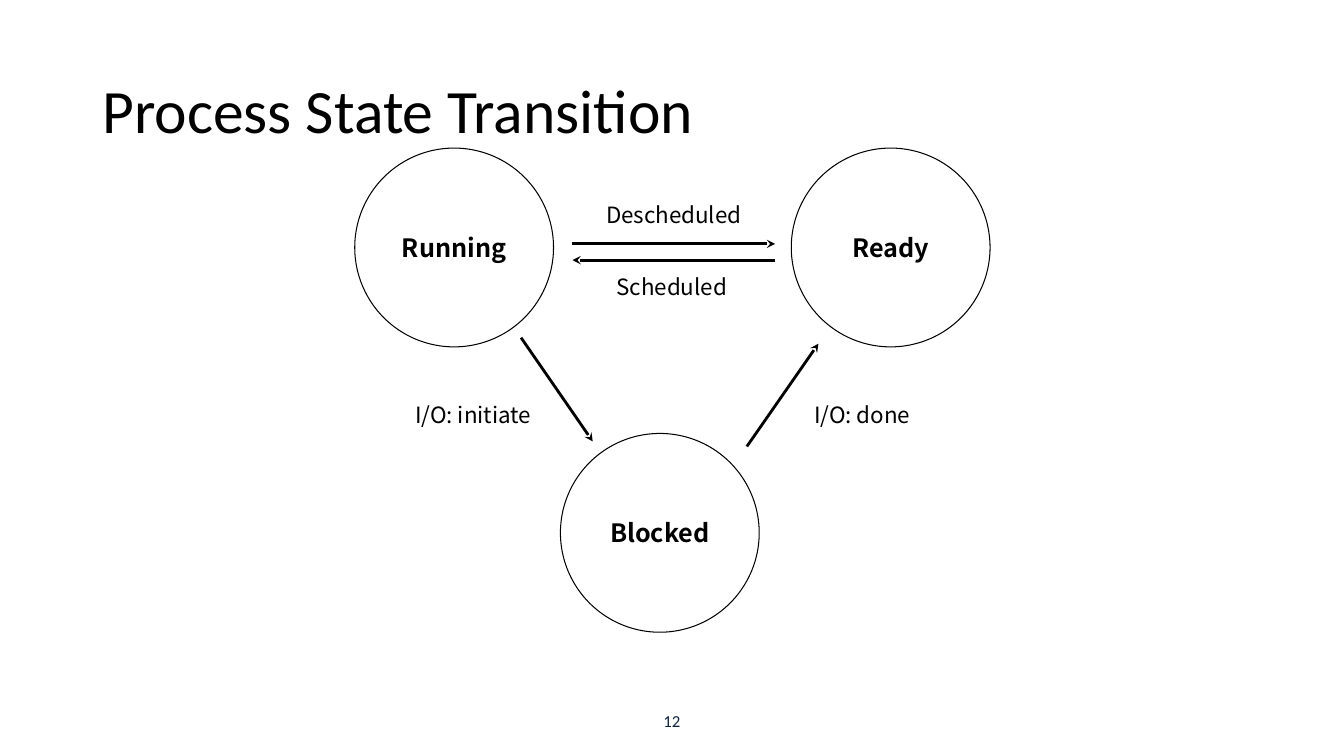
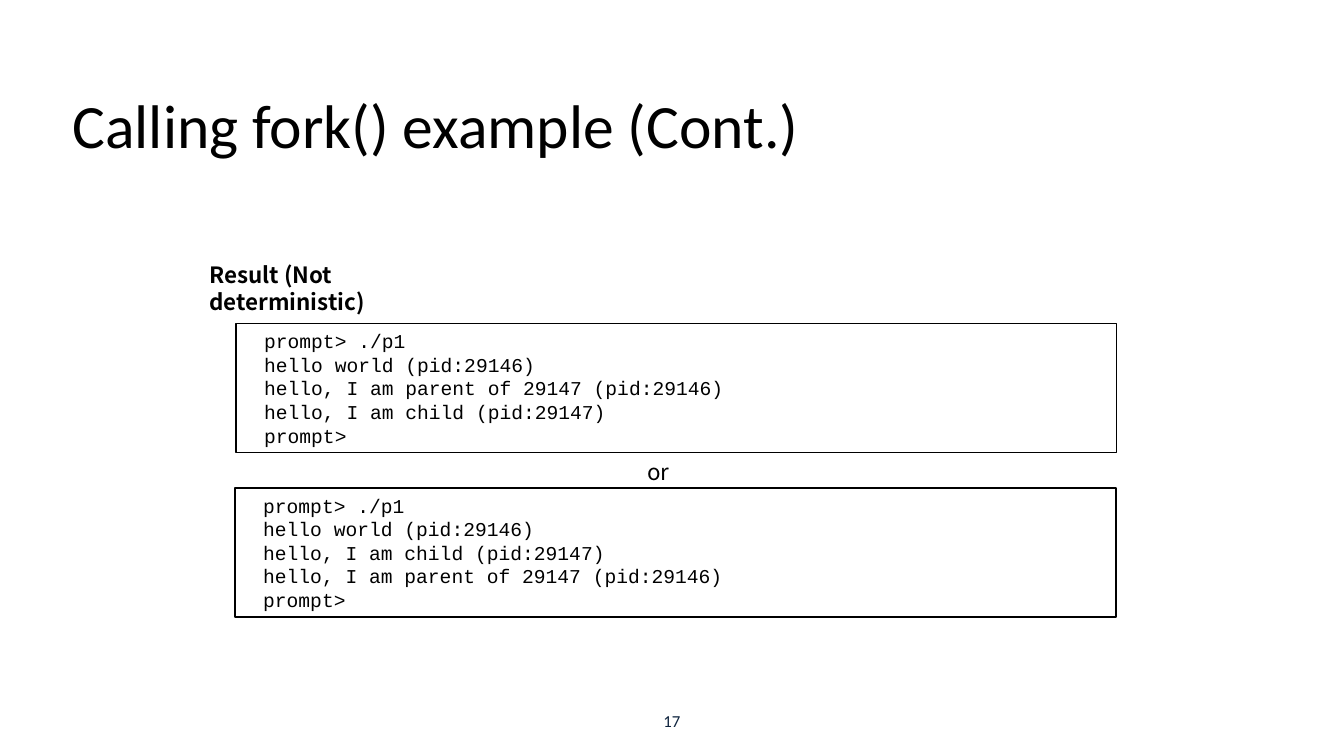
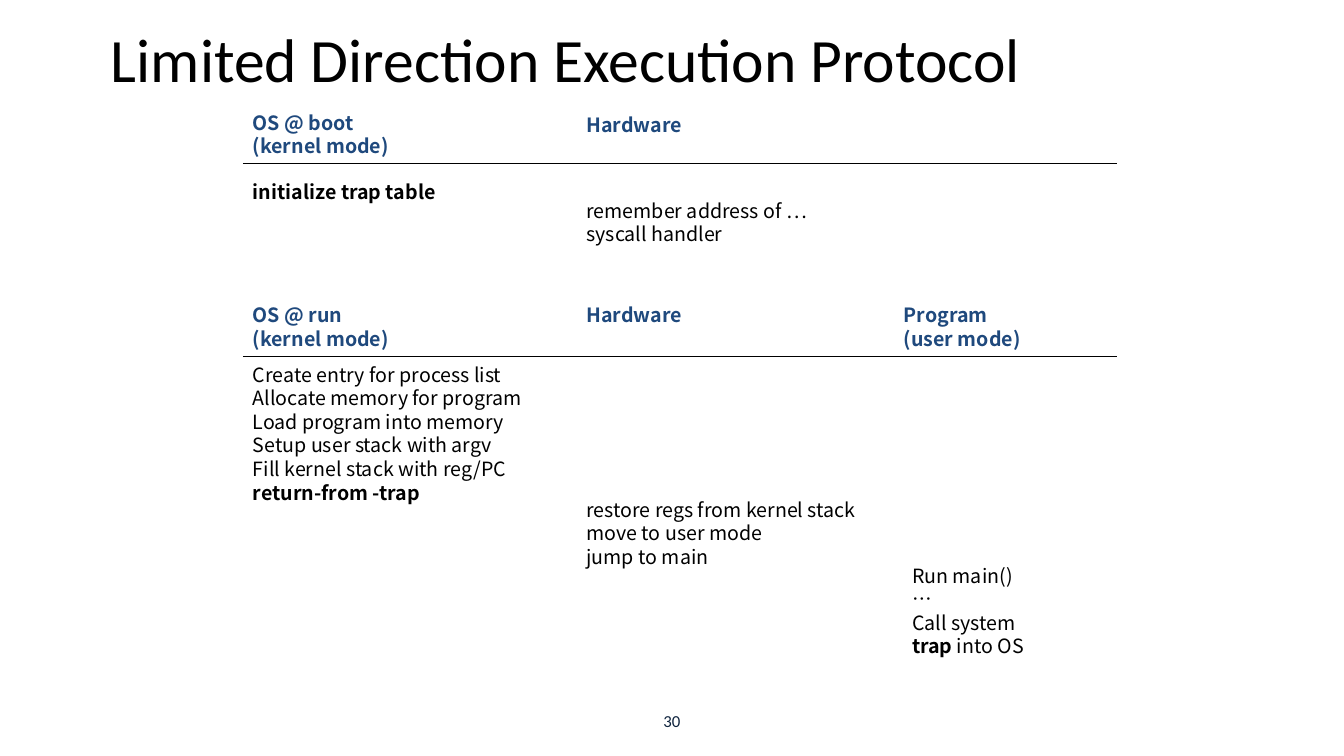
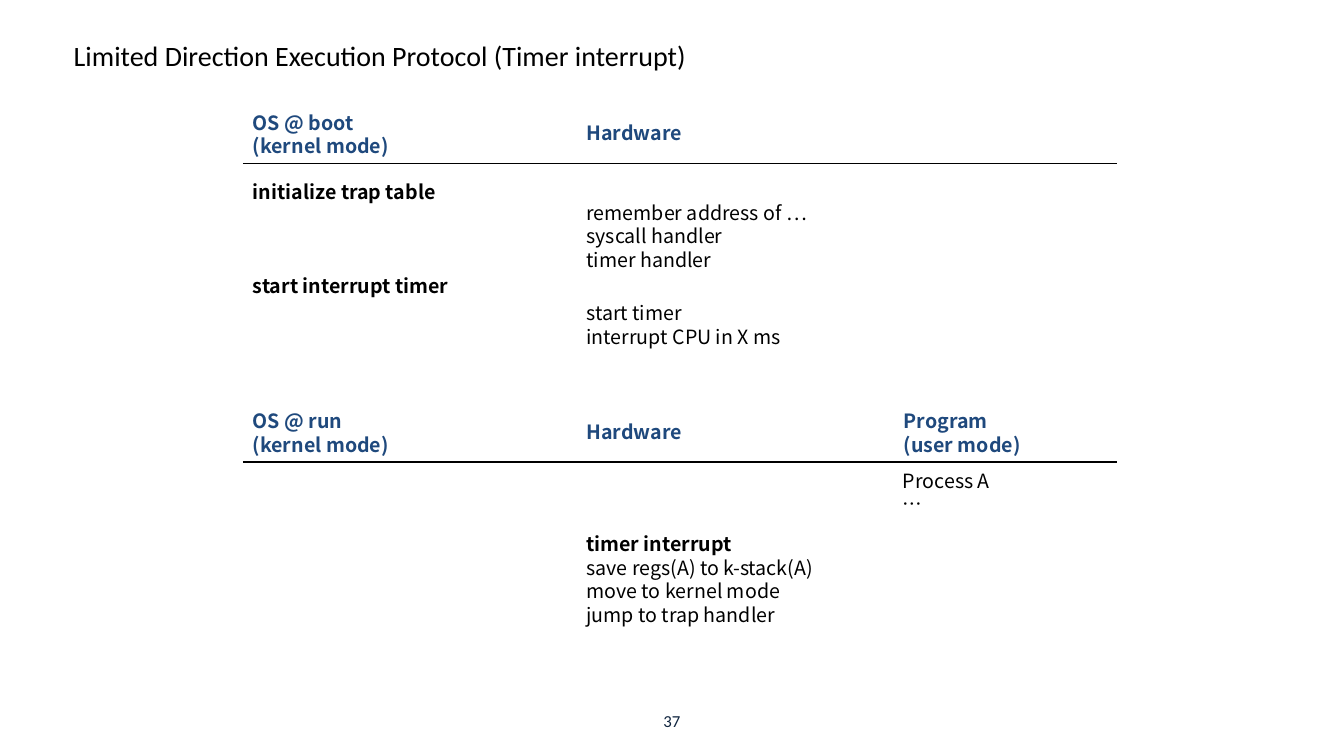
from dataclasses import dataclass

from lxml.etree import SubElement
from pptx import Presentation
from pptx.dml.color import RGBColor
from pptx.enum.shapes import MSO_CONNECTOR as Connector, MSO_SHAPE as Shape
from pptx.enum.text import MSO_ANCHOR as Anchor, MSO_AUTO_SIZE as AutoSize, PP_ALIGN as Align
from pptx.oxml.ns import qn
from pptx.util import Pt

BLACK = RGBColor(0x00, 0x00, 0x00)
WHITE = RGBColor(0xFF, 0xFF, 0xFF)
BLUE = RGBColor(0x1F, 0x49, 0x7D)
NAVY = RGBColor(0x0F, 0x24, 0x3E)

TITLE_FONT = "Calibri"
BODY_FONT = "Noto Sans CJK KR"
CODE_FONT = "Courier New"

LINE_FACTOR = 1.2
COLUMNS = {"os": 0, "hardware": 238.3, "program": 465.1}


@dataclass
class Box:
    """A rectangle in points."""
    left: float
    top: float
    width: float
    height: float

    def inner(self, left, top, width, height):
        """Return a box placed relative to this one."""
        return Box(self.left + left, self.top + top, width, height)

    def lengths(self):
        """Return left, top, width and height as lengths."""
        return [Pt(value) for value in (self.left, self.top, self.width, self.height)]


def style_span(span, size, color, font, bold=False):
    """Format one run, for Latin and East Asian characters alike."""
    span.font.size = Pt(size)
    span.font.bold = bold
    span.font.color.rgb = color
    span.font.name = font
    SubElement(span._r.get_or_add_rPr(), qn("a:ea"), typeface=font)


def fill_text(frame, lines, size, color=BLACK, font=BODY_FONT, align=Align.LEFT):
    """Write lines into a frame; pieces between asterisks are bold."""
    frame.word_wrap = True
    for index, line in enumerate(lines):
        para = frame.paragraphs[0] if index == 0 else frame.add_paragraph()
        para.alignment = align
        para.line_spacing = Pt(LINE_FACTOR * size)
        for number, piece in enumerate(line.split("*")):
            if piece:
                span = para.add_run()
                span.text = piece
                style_span(span, size, color, font, bold=number % 2 == 1)


def add_text(page, box, lines, size, **style):
    """Add a text box and return its frame."""
    frame = page.shapes.add_textbox(*box.lengths()).text_frame
    fill_text(frame, lines, size, **style)
    return frame


def add_outlined(page, kind, box, line_width):
    """Add a white shape with a black outline and return its frame."""
    shape = page.shapes.add_shape(kind, *box.lengths())
    shape.shadow.inherit = False
    shape.fill.solid()
    shape.fill.fore_color.rgb = WHITE
    shape.line.color.rgb = BLACK
    shape.line.width = Pt(line_width)
    shape.text_frame.vertical_anchor = Anchor.MIDDLE
    return shape.text_frame


def add_line(page, box, start, end, width, arrow=False):
    """Draw a straight line between two points of a box."""
    points = [Pt(value) for x, y in (start, end) for value in (box.left + x, box.top + y)]
    line = page.shapes.add_connector(Connector.STRAIGHT, *points)
    line.line.color.rgb = BLACK
    line.line.width = Pt(width)
    if arrow:
        SubElement(line.line._get_or_add_ln(), qn("a:tailEnd"), type="stealth")
    SubElement(line._element.spPr, qn("a:effectLst"))


def add_page(deck, title, left, top, number, size=44):
    """Add a slide with its title and page number."""
    page = deck.slides.add_slide(deck.slide_layouts[5])
    holder = page.shapes.title
    holder.left, holder.top, holder.width, holder.height = Box(left, top, 828, 104.4).lengths()
    frame = holder.text_frame
    frame.text = title
    frame.word_wrap = True
    frame.auto_size = AutoSize.NONE
    frame.vertical_anchor = Anchor.MIDDLE
    para = frame.paragraphs[0]
    para.alignment = Align.LEFT
    para.line_spacing = 0.9
    style_span(para.runs[0], size, BLACK, TITLE_FONT)
    footer = add_text(page, Box(318, 500.4, 324, 28.8), [number], 12,
                      color=NAVY, font=TITLE_FONT, align=Align.CENTER)
    footer.vertical_anchor = Anchor.MIDDLE
    return page


def draw_states(page, box):
    """Draw the three process states and the transitions between them."""
    diameter = 142
    states = [("Running", 0, 0),
              ("Ready", box.width - diameter, 0),
              ("Blocked", 146.9, box.height - diameter)]
    for name, left, top in states:
        frame = add_outlined(page, Shape.OVAL, box.inner(left, top, diameter, diameter), 0.75)
        frame.margin_left = frame.margin_right = 0
        fill_text(frame, [f"*{name}*"], 18, align=Align.CENTER)
    transitions = [("Descheduled", (171.4, 34.6), (155.5, 68.4), (300.3, 68.4)),
                   ("Scheduled", (170, 85.7), (300.3, 80), (155.5, 80)),
                   ("I/O: initiate", (28.1, 177.2), (118.8, 135.4), (170, 209.5)),
                   ("I/O: done", (306, 177.2), (280.1, 213.1), (331.2, 139.7))]
    for name, corner, start, end in transitions:
        add_line(page, box, start, end, 2, arrow=True)
        add_text(page, box.inner(*corner, 113, 26.6), [name], 16, align=Align.CENTER)


def draw_terminal(page, box, lines):
    """Draw one framed program output."""
    frame = add_outlined(page, Shape.RECTANGLE, box, 1)
    frame.margin_left = Pt(20.2)
    fill_text(frame, lines, 14, font=CODE_FONT)


def draw_outputs(page, box):
    """Draw the two possible outputs under their heading."""
    parent = "hello, I am parent of 29147 (pid:29146)"
    child = "hello, I am child (pid:29147)"
    add_text(page, box.inner(0, 0, 208.8, 26.6), ["*Result (Not deterministic)*"], 16)
    for left, top, replies in [(25.9, 48.2, (parent, child)), (25.2, 165.6, (child, parent))]:
        draw_terminal(page, box.inner(left, top, 629.3, 92.2),
                      ["prompt> ./p1", "hello world (pid:29146)", *replies, "prompt>"])
    add_text(page, box.inner(268.5, 141.1, 118, 26.6), ["or"], 16, align=Align.CENTER)


def draw_phase(page, box, headings, hardware_drop, notes):
    """Draw one protocol phase: headings, a rule and the steps by column."""
    for column, lines in headings.items():
        drop = hardware_drop if column == "hardware" else 0
        add_text(page, box.inner(COLUMNS[column], drop, 136, 41),
                 [f"*{line}*" for line in lines], 14, color=BLUE)
    add_line(page, box, (0, 41.4), (box.width, 41.4), 1)
    for column, shift, drop, lines in notes:
        height = LINE_FACTOR * 14 * len(lines) + 7.2
        add_text(page, box.inner(COLUMNS[column] + shift, drop, 215, height), lines, 14)


def draw_protocol(page, boot, run):
    """Draw the boot phase and the run phase, each as top, height, drop and notes."""
    boot_headings = {"os": ["OS @ boot", "(kernel mode)"], "hardware": ["Hardware"]}
    run_headings = {"os": ["OS @ run", "(kernel mode)"], "hardware": ["Hardware"],
                    "program": ["Program", "(user mode)"]}
    for headings, (top, height, drop, notes) in [(boot_headings, boot), (run_headings, run)]:
        draw_phase(page, Box(173.5, top, 624.3, height), headings, drop, notes)


def main():
    """Build the deck and save it."""
    deck = Presentation()
    deck.slide_width, deck.slide_height = Pt(960), Pt(540)

    page = add_page(deck, "Process State Transition", 66, 28.8, "12")
    draw_states(page, Box(253.4, 105.8, 453.8, 345.8))

    page = add_page(deck, "Calling fork() example (Cont.)", 44.6, 39.6, "17")
    draw_outputs(page, Box(142.6, 182.9, 655.2, 257.8))

    page = add_page(deck, "Limited Direction Execution Protocol", 72, -7.2, "30")
    draw_protocol(
        page,
        (75.6, 104, 1.4, [
            ("os", 0, 49, ["*initialize trap table*"]),
            ("hardware", 0, 62.6, ["remember address of …", "syscall handler"])]),
        (213.1, 261, 0, [
            ("os", 0, 42.5, ["Create entry for process list", "Allocate memory for program",
                             "Load program into memory", "Setup user stack with argv",
                             "Fill kernel stack with reg/PC", "*return-from -trap*"]),
            ("hardware", 0, 139, ["restore regs from kernel stack", "move to user mode",
                                  "jump to main"]),
            ("program", 5.8, 185.8, ["Run main()", "…", "Call system", "*trap* into OS"])]))

    page = add_page(deck, "Limited Direction Execution Protocol (Timer interrupt)",
                    45.4, -11.5, "37", size=20)
    draw_protocol(
        page,
        (75.6, 177, 7.5, [
            ("os", 0, 49, ["*initialize trap table*"]),
            ("hardware", 0, 64.1, ["remember address of …", "syscall handler",
                                   "timer handler"]),
            ("os", 0, 116.6, ["*start interrupt timer*"]),
            ("hardware", 0, 136.1, ["start timer", "interrupt CPU in X ms"])]),
        (288.7, 163, 7.5, [
            ("program", -0.7, 42.5, ["Process A", "…"]),
            ("hardware", 0, 87.9, ["*timer interrupt*", "save regs(A) to k-stack(A)",
                                   "move to kernel mode", "jump to trap handler"])]))

    deck.save("out.pptx")


if __name__ == "__main__":
    main()
